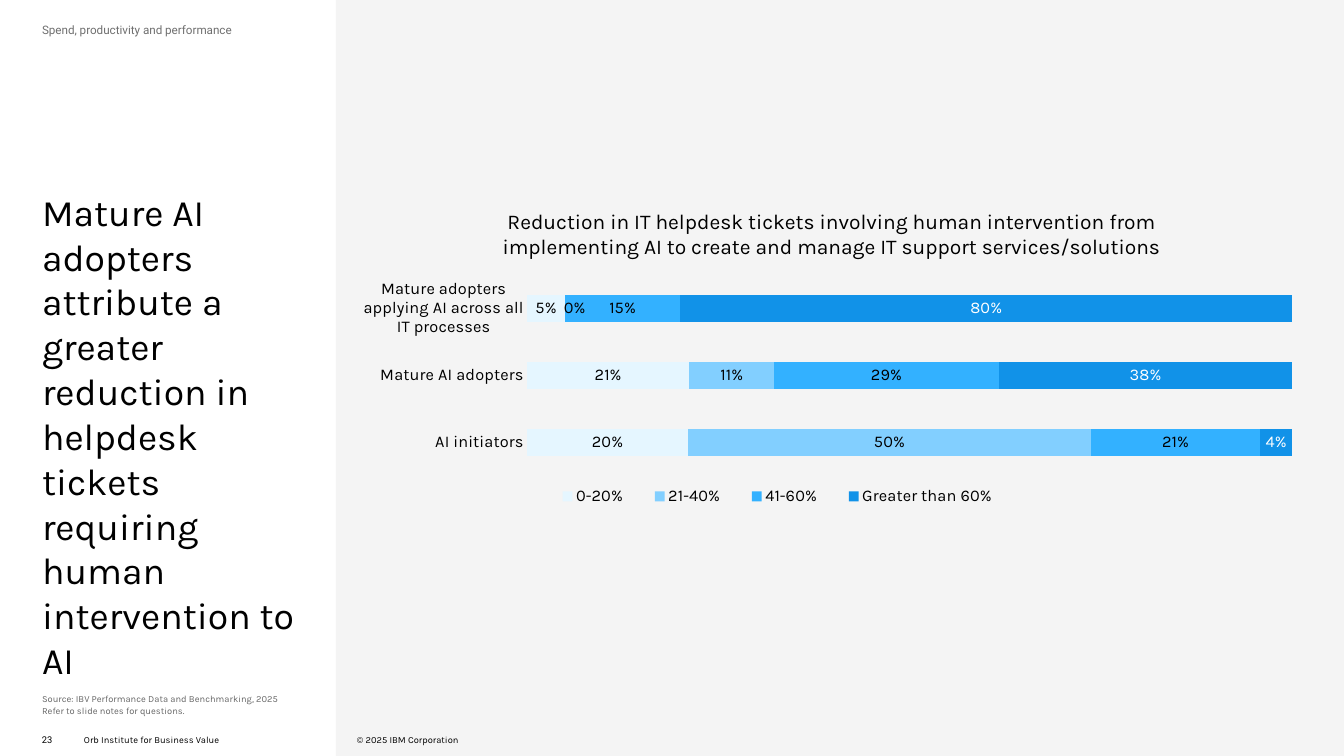
import pptx
import pptx.chart.data
import pptx.dml.color
import pptx.enum.chart
import pptx.enum.shapes
import pptx.enum.text
import pptx.oxml
import pptx.oxml.ns
import pptx.util
from dataclasses import dataclass

TITLE = ("Mature AI adopters attribute a greater reduction in helpdesk tickets "
         "requiring human intervention to AI")
CHART_TITLE = ("Reduction in IT helpdesk tickets involving human intervention from "
               "implementing AI to create and manage IT support services/solutions")
CATEGORIES = ["AI initiators", "Mature AI adopters",
              "Mature adopters applying AI across all IT processes"]
# name, values, fill, label colour
SERIES = [
    ("0-20%", (0.2, 0.21, 0.05), "E5F6FF", "000000"),
    ("21-40%", (0.5, 0.11, 0), "82CFFF", "000000"),
    ("41-60%", (0.21, 0.29, 0.15), "33B1FF", "000000"),
    ("Greater than 60%", (0.04, 0.38, 0.8), "1192E8", "FFFFFF"),
]


@dataclass(frozen=True)
class Theme:
    black: str = "000000"
    gray: str = "6F6F6F"
    source_gray: str = "666666"
    panel: str = "F4F4F4"
    font: str = "Karla"
    small_font: str = "Roboto"
    title_size: int = 32
    chart_title_size: int = 18
    chart_size: int = 14
    header_size: int = 10
    footer_size: int = 8


THEME = Theme()
TOP = pptx.enum.text.MSO_ANCHOR.TOP
MIDDLE = pptx.enum.text.MSO_ANCHOR.MIDDLE
BOTTOM = pptx.enum.text.MSO_ANCHOR.BOTTOM

# lines, (left, top, width, height), font, size, colour, anchor, line spacing
TEXTS = [
    (["Spend, productivity and performance"], (36, 18, 234, 36),
     THEME.small_font, THEME.header_size, THEME.gray, TOP, 1.1),
    (["Source: IBV Performance Data and Benchmarking, 2025",
      "Refer to slide notes for questions."], (36, 576, 234, 38),
     THEME.font, THEME.footer_size, THEME.source_gray, BOTTOM, 1.1),
    (["23"], (36, 628.5, 36, 20),
     THEME.small_font, THEME.footer_size, THEME.black, TOP, 1.1),
    (["Orb Institute for Business Value"], (72, 625.5, 180, 17.5),
     THEME.font, THEME.footer_size, THEME.black, MIDDLE, 1),
    (["© 2025 IBM Corporation"], (306, 625.5, 180, 17.5),
     THEME.font, THEME.footer_size, THEME.black, MIDDLE, 1),
]
PANEL_BOX = (288, 0, 864, 648)
TITLE_BOX = (36, 162, 234, 432)
CHART_BOX = (306, 162, 810, 432)


def points(box):
    return [pptx.util.Pt(length) for length in box]


def rgb(code):
    return pptx.dml.color.RGBColor.from_string(code)


def style_font(font, name, size, color):
    font.name = name
    font.size = pptx.util.Pt(size)
    font.bold = False
    font.color.rgb = rgb(color)


def fill_text(shape, lines, font, size, color, anchor, spacing):
    frame = shape.text_frame
    frame.word_wrap = True
    frame.auto_size = pptx.enum.text.MSO_AUTO_SIZE.NONE
    frame.vertical_anchor = anchor
    frame.margin_left = frame.margin_top = frame.margin_right = frame.margin_bottom = 0
    frame.text = "\n".join(lines)
    for paragraph in frame.paragraphs:
        paragraph.alignment = pptx.enum.text.PP_ALIGN.LEFT
        paragraph.line_spacing = spacing
        style_font(paragraph.font, font, size, color)


def set_layout(element, after, inner=False, **fractions):
    """Place a chart part by fractions of the chart, right after the child named."""
    for old in element.findall(pptx.oxml.ns.qn("c:layout")):
        element.remove(old)
    modes = {"xMode": "edge", "yMode": "edge"} if after != "c:idx" else {}
    settings = {"layoutTarget": "inner"} if inner else {}
    settings.update(modes, **fractions)
    children = "".join(f'<c:{tag} val="{value}"/>' for tag, value in settings.items())
    layout = pptx.oxml.parse_xml(
        f'<c:layout {pptx.oxml.ns.nsdecls("c")}>'
        f"<c:manualLayout>{children}</c:manualLayout></c:layout>")
    previous = element.find(pptx.oxml.ns.qn(after)) if after else None
    if previous is None:
        element.insert(0, layout)
    else:
        previous.addnext(layout)


def style_series(series, fill, label_color):
    series.format.fill.solid()
    series.format.fill.fore_color.rgb = rgb(fill)
    labels = series.data_labels
    labels.show_value = True
    labels.number_format = "0%"
    labels.number_format_is_linked = False
    labels.position = pptx.enum.chart.XL_LABEL_POSITION.CENTER
    style_font(labels.font, THEME.font, THEME.chart_size, label_color)


def add_ticket_chart(slide):
    data = pptx.chart.data.CategoryChartData(number_format="0%")
    data.categories = CATEGORIES
    for name, values, _, _ in SERIES:
        data.add_series(name, values)
    chart = slide.shapes.add_chart(
        pptx.enum.chart.XL_CHART_TYPE.BAR_STACKED_100, *points(CHART_BOX), data).chart
    style_font(chart.font, THEME.font, THEME.header_size, THEME.black)

    chart.has_title = True
    chart.chart_title.include_in_layout = False
    chart.chart_title.text_frame.text = CHART_TITLE
    style_font(chart.chart_title.text_frame.paragraphs[0].font,
               THEME.font, THEME.chart_title_size, THEME.black)
    set_layout(chart.chart_title._element, "c:tx", x=0.15, y=0.03)

    chart.has_legend = True
    chart.legend.position = pptx.enum.chart.XL_LEGEND_POSITION.BOTTOM
    chart.legend.include_in_layout = False
    style_font(chart.legend.font, THEME.font, THEME.chart_size, THEME.black)
    set_layout(chart.legend._element, "c:legendPos", x=0.19, y=0.58, w=0.51, h=0.06)

    category_axis = chart.category_axis
    category_axis.major_tick_mark = pptx.enum.chart.XL_TICK_MARK.NONE
    category_axis.format.line.fill.background()
    style_font(category_axis.tick_labels.font, THEME.font, THEME.chart_size, THEME.black)
    chart.value_axis.has_major_gridlines = False
    chart.value_axis.maximum_scale = 1
    chart.value_axis.visible = False

    plot = chart.plots[0]
    plot.gap_width = 150
    plot.overlap = 100
    plot.vary_by_categories = False
    for series, (_, _, fill, label_color) in zip(plot.series, SERIES):
        style_series(series, fill, label_color)
    plot_area = chart._chartSpace.find(".//" + pptx.oxml.ns.qn("c:plotArea"))
    set_layout(plot_area, None, inner=True, x=0.18, y=0.17, w=0.81, h=0.4)

    # The zero-width segment's label sits just right of its neighbour.
    zero_label = plot.series[1].points[2].data_label
    zero_label.position = pptx.enum.chart.XL_LABEL_POSITION.CENTER
    style_font(zero_label.font, THEME.font, THEME.chart_size, THEME.black)
    set_layout(zero_label.font._element.getparent().getparent().getparent().getparent(),
               "c:idx", x=0.01, y=0)


def main():
    presentation = pptx.Presentation()
    presentation.slide_width = pptx.util.Pt(1152)
    presentation.slide_height = pptx.util.Pt(648)
    slide = presentation.slides.add_slide(presentation.slide_layouts[5])

    panel = slide.shapes.add_shape(
        pptx.enum.shapes.MSO_SHAPE.RECTANGLE, *points(PANEL_BOX))
    panel.shadow.inherit = False
    panel.fill.solid()
    panel.fill.fore_color.rgb = rgb(THEME.panel)
    panel.line.fill.background()

    title = slide.shapes.title
    title.left, title.top, title.width, title.height = points(TITLE_BOX)
    fill_text(title, [TITLE], THEME.font, THEME.title_size, THEME.black, TOP, 1)

    add_ticket_chart(slide)
    for lines, box, *style in TEXTS:
        fill_text(slide.shapes.add_textbox(*points(box)), lines, *style)
    presentation.save("out.pptx")


if __name__ == "__main__":
    main()
